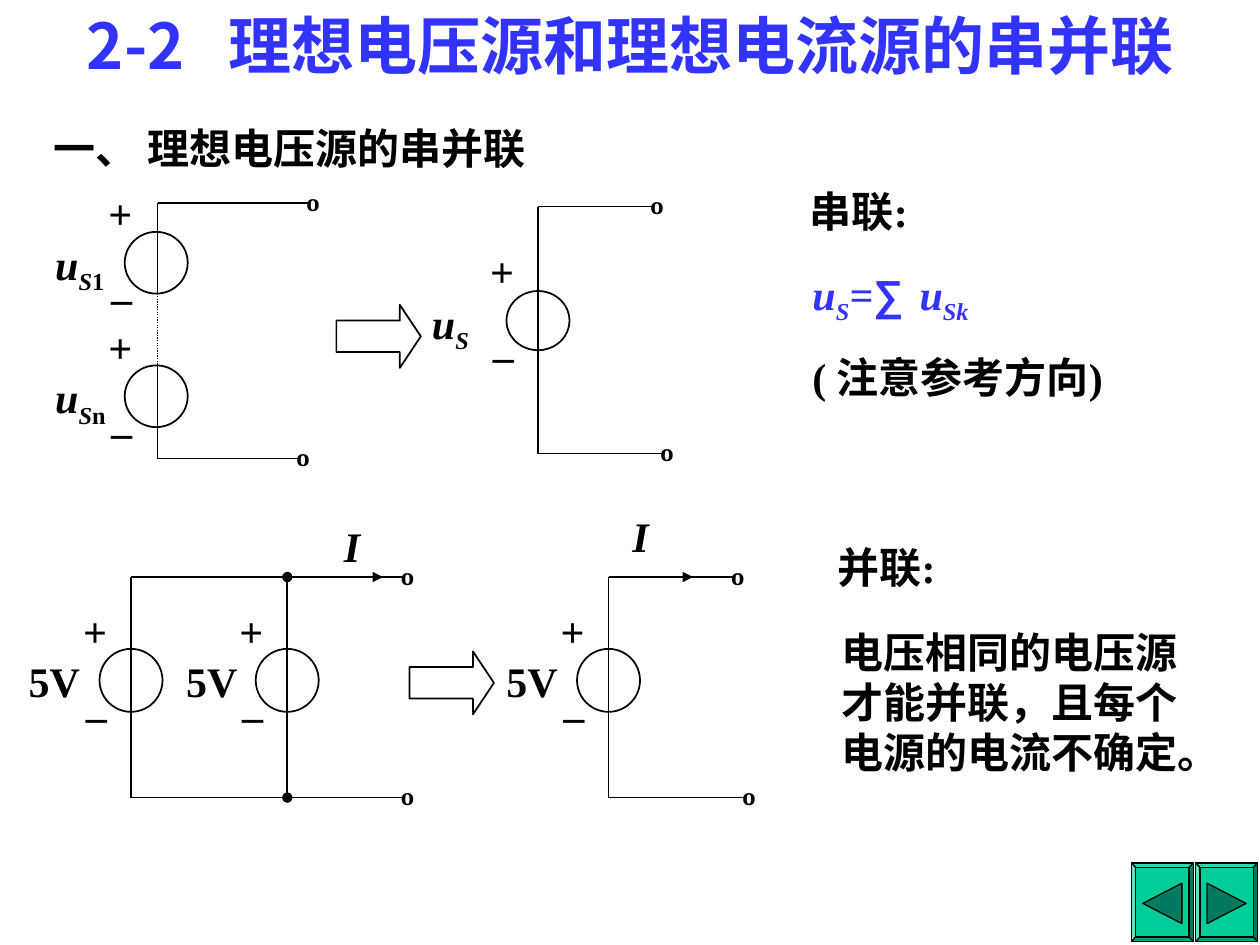
from lxml import etree
from pptx import Presentation
from pptx import util as u
from pptx.dml.color import RGBColor
from pptx.enum import dml, shapes, text
from pptx.oxml import ns

COLORS = {"ink": "000000", "blue": "3333FF", "paper": "FFFFFF",
          "green": "00CC99", "deep": "007A5C"}
COLS, ROWS = 100, 75
KIND = shapes.MSO_SHAPE


class Sheet:
    """Style and current slide; lengths are in columns and rows of the grid."""
    latin, asian, size = "Times New Roman", "Noto Sans CJK SC", 24

    def __init__(self, deck):
        self.slide = deck.slides.add_slide(deck.slide_layouts[5])
        self.items = self.slide.shapes
        self.dx, self.dy = deck.slide_width / COLS, deck.slide_height / ROWS

    def span(self, x, y):
        return u.Emu(round(x * self.dx)), u.Emu(round(y * self.dy))

    def color(self, name):
        return RGBColor.from_string(COLORS[name])

    def run(self, para, words, style="", hue="ink", face=None, size=None):
        """Add one bold run; style may hold i (italic) and s (subscript)."""
        run = para.add_run()
        run.text = words
        font = run.font
        font.size, font.bold = u.Pt(size or self.size), True
        font.italic = "i" in style
        font.name = face or self.latin
        font.color.rgb = self.color(hue)
        props = run._r.get_or_add_rPr()
        if "s" in style:
            props.set("baseline", "-25000")
        etree.SubElement(props, ns.qn("a:ea"), typeface=self.asian)

    def tab(self, para, x):
        tabs = etree.SubElement(para._p.get_or_add_pPr(), ns.qn("a:tabLst"))
        etree.SubElement(tabs, ns.qn("a:tab"), pos=str(self.span(x, 0)[0]), algn="l")

    def text(self, x, y, w, h, *paras, tab=None, mid=False):
        """Add a text box; each paragraph is a list of run arguments."""
        box = self.items.add_textbox(*self.span(x, y), *self.span(w, h))
        frame = box.text_frame
        frame.word_wrap = True
        frame.auto_size = text.MSO_AUTO_SIZE.SHAPE_TO_FIT_TEXT
        if mid:
            frame.vertical_anchor = text.MSO_ANCHOR.MIDDLE
        for n, runs in enumerate(paras):
            para = frame.add_paragraph() if n else frame.paragraphs[0]
            para.alignment = text.PP_ALIGN.CENTER if mid else text.PP_ALIGN.LEFT
            if n:
                para.space_before = u.Pt(15)
            elif tab:
                self.tab(para, tab)
            for args in runs:
                self.run(para, *args)

    def title(self, x, y, w, h, words, tab):
        box = self.items.title
        box.left, box.top = self.span(x, y)
        box.width, box.height = self.span(w, h)
        frame = box.text_frame
        frame.word_wrap = True
        frame.auto_size = text.MSO_AUTO_SIZE.NONE
        frame.vertical_anchor = text.MSO_ANCHOR.TOP
        para = frame.paragraphs[0]
        para.alignment = text.PP_ALIGN.LEFT
        para.space_before = u.Pt(0)
        self.tab(para, tab)
        self.run(para, words, "", "blue", self.asian, 36)

    def sign(self, x, y, mark):
        """Centre a single symbol on a point."""
        self.text(x - 2, y - 2.5, 4, 5, [(mark,)], mid=True)

    def paint(self, item, fill, width):
        item.shadow.inherit = False
        item.fill.solid()
        item.fill.fore_color.rgb = self.color(fill)
        item.line.color.rgb = self.color("ink")
        item.line.width = u.Pt(width)

    def shape(self, kind, x, y, w, h, fill="paper", width=1):
        item = self.items.add_shape(kind, *self.span(x, y), *self.span(w, h))
        self.paint(item, fill, width)
        return item

    def source(self, x, y, h=5):
        """Draw a voltage source around its centre, with its polarity."""
        self.shape(KIND.OVAL, x - 2.5, y - h / 2, 5, h)
        self.sign(x - 2.85, y - 3.95, "+")
        self.sign(x - 2.75, y + 1.6, "_")

    def wire(self, x1, y1, x2, y2, width=1, head=None, tail=None):
        line = self.items.add_connector(shapes.MSO_CONNECTOR.STRAIGHT,
                                        *self.span(x1, y1), *self.span(x2, y2))
        line.line.color.rgb = self.color("ink")
        line.line.width = u.Pt(width)
        for end, mark in (("a:headEnd", head), ("a:tailEnd", tail)):
            if mark:
                etree.SubElement(line.line._get_or_add_ln(), ns.qn(end), type=mark)
        etree.SubElement(line._element.spPr, ns.qn("a:effectLst"))
        return line

    def lead(self, x1, x2, y):
        """Draw a level wire that ends in an open terminal."""
        self.wire(x1, y, x2, y)
        self.sign(x2 + 0.25, y + 0.6, "º")

    def arrow(self, x, y):
        self.shape(KIND.RIGHT_ARROW, x, y, 6.7, 5).adjustments[1] = 0.333

    def button(self, x, y, back):
        self.shape(KIND.BEVEL, x, y, 4.9, 6.2, "green", 0.75).adjustments[0] = 0.07
        tip, base = (0.9, 4) if back else (4, 0.9)
        points = [(base, 1.6), (tip, 3.2), (base, 4.8)]
        ends = [self.span(x + px, y + py) for px, py in points]
        path = self.items.build_freeform(*ends[0])
        path.add_line_segments(ends[1:], close=True)
        self.paint(path.convert_to_shape(), "deep", 0.75)


def series(s):
    for y, name, top, end in ((20.85, "1", 18.4, ""), (31.45, "n", 29, "")):
        s.source(12.4, y, 4.9)
        s.text(3.4, top, 8, 5.6, [("u", "i"), ("S", "is"), (name, "s")])
    s.wire(12.5, 16.1, 12.5, 23.3)
    gap = s.wire(12.5, 23.3, 12.5, 29, 0.75)
    gap.line.dash_style = dml.MSO_LINE.ROUND_DOT
    s.wire(12.5, 29, 12.5, 36.4, 0.75)
    s.lead(12.5, 24.6, 16.1)
    s.lead(12.5, 23.8, 36.4)
    s.arrow(26.7, 24.2)
    s.source(42.7, 25.45, 4.7)
    s.text(33.3, 23.1, 6, 5.6, [("u", "i"), ("S", "is")])
    s.wire(42.7, 16.4, 42.7, 36)
    s.lead(42.7, 51.9, 16.4)
    s.lead(42.7, 52.7, 36)


def parallel(s):
    top, low = 45.8, 63.3
    for x, label, dots in ((10.4, 1.3, None), (22.8, 13.8, "oval"), (48.3, 39.2, None)):
        s.source(x, 54)
        s.text(label, 51.5, 8.3, 5, [("5V",)])
        s.wire(x, top, x, low, head=dots, tail=dots)
    for x, high, low_end in ((10.4, 32.1, 32.1), (48.3, 58.3, 59.2)):
        s.lead(x, high, top)
        s.lead(x, low_end, low)
    s.wire(22.8, top, 30.4, top, 0.75, tail="triangle")
    s.wire(48.3, top, 55, top, tail="triangle")
    for x, y in ((26.3, 40.8), (49.2, 40)):
        s.text(x, y, 4.2, 5, [("I", "i")])
    s.arrow(32.5, 51.7)


def notes(s):
    s.text(3.3, 9.2, 40, 5, [("一、 理想电压源的串并联",)])
    s.text(63.3, 14.2, 10.8, 5, [("串联:",)])
    s.text(63.5, 20.8, 28, 12.2,
           [("u", "i", "blue"), ("S", "is", "blue"), ("=", "i", "blue"),
            ("∑\t", "", "blue", "Arial"), ("u", "i", "blue"), ("Sk", "is", "blue")],
           [("( 注意参考方向)",)], tab=8.5)
    s.text(65.5, 42.5, 10.6, 5, [("并联:",)])
    s.text(65.8, 49.2, 30.8, 13, [("电压相同的电压源才能并联，且每个电源的电流不确定。",)])


def main():
    deck = Presentation()
    deck.slide_width, deck.slide_height = u.Inches(10), u.Inches(7.5)
    s = Sheet(deck)
    s.title(5.9, 0, 90.7, 7, "2-2\t理想电压源和理想电流源的串并联", 11.2)
    s.button(89.8, 68.5, True)
    s.button(94.9, 68.5, False)
    notes(s)
    series(s)
    parallel(s)
    deck.save("out.pptx")


if __name__ == "__main__":
    main()
